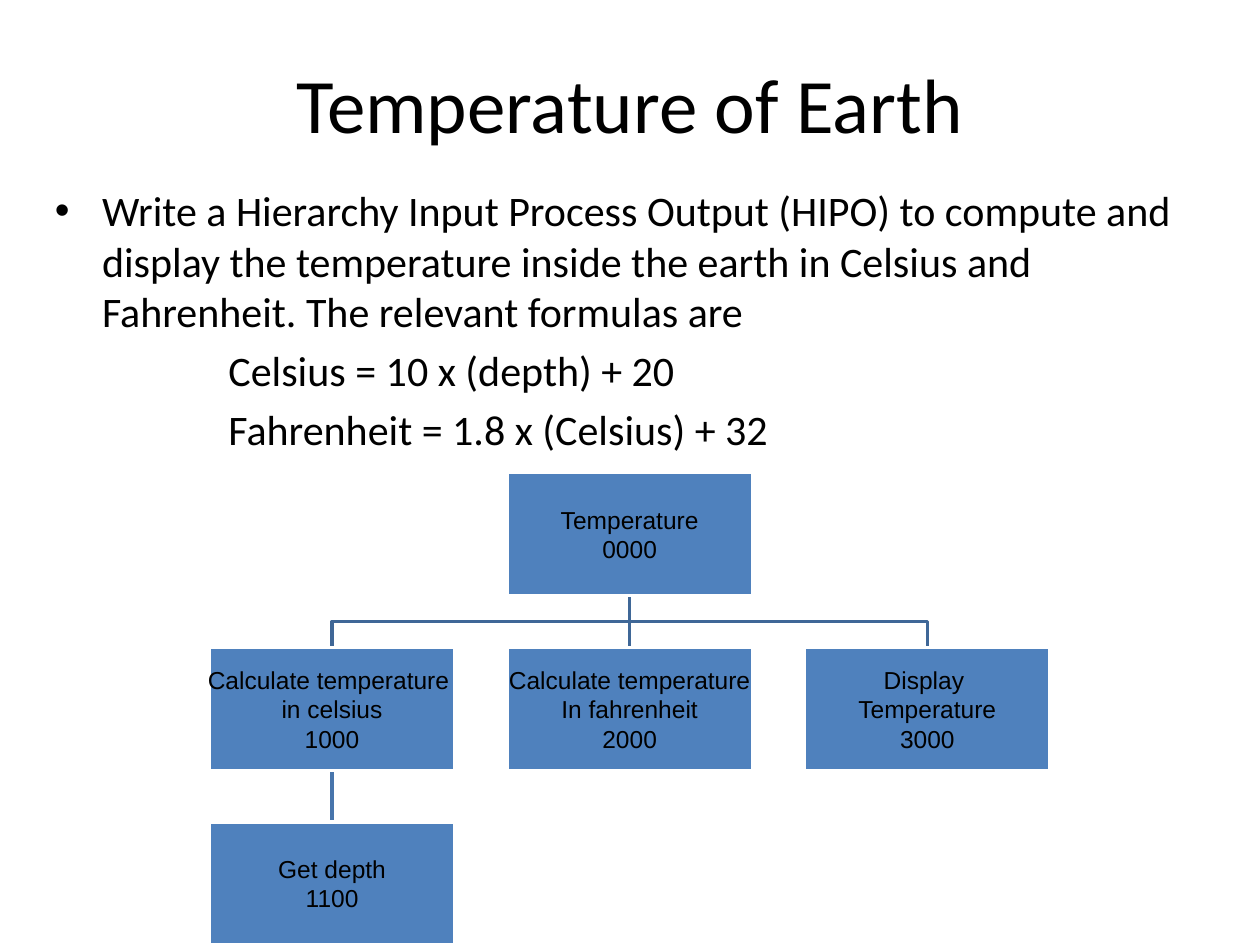
"""Build the Temperature of Earth slide with its HIPO chart."""
import dataclasses

import lxml.etree
import pptx
import pptx.dml.color
import pptx.enum.shapes
import pptx.enum.text
import pptx.oxml.ns
import pptx.util

Cm = pptx.util.Cm
Pt = pptx.util.Pt
RGBColor = pptx.dml.color.RGBColor
ALIGN = pptx.enum.text.PP_ALIGN
MIDDLE = pptx.enum.text.MSO_ANCHOR.MIDDLE
qn = pptx.oxml.ns.qn

BLACK = RGBColor(0x00, 0x00, 0x00)
WHITE = RGBColor(0xFF, 0xFF, 0xFF)
BLUE = RGBColor(0x4F, 0x81, 0xBD)
BRANCH = RGBColor(0x3F, 0x67, 0x97)
SUB_BRANCH = RGBColor(0x48, 0x75, 0xAC)

BOX_W, BOX_H = 4.95, 2.48
LEFT, TOP = 4.22, 9.53
COL_STEP, ROW_STEP = 6.0, 3.52


@dataclasses.dataclass(frozen=True)
class Module:
    lines: tuple[str, ...]
    col: int
    row: int

    @property
    def x(self) -> float:
        return LEFT + self.col * COL_STEP

    @property
    def y(self) -> float:
        return TOP + self.row * ROW_STEP

    @property
    def center(self) -> float:
        return self.x + BOX_W / 2


@dataclasses.dataclass(frozen=True)
class Link:
    parent: Module
    child: Module
    color: RGBColor


MAIN = Module(("Temperature", "0000"), 1, 0)
CELSIUS = Module(("Calculate temperature ", "in celsius", "1000"), 0, 1)
FAHRENHEIT = Module(("Calculate temperature", "In fahrenheit", "2000"), 1, 1)
DISPLAY = Module(("Display ", "Temperature", "3000"), 2, 1)
DEPTH = Module(("Get depth", "1100"), 0, 2)
MODULES = (MAIN, CELSIUS, DEPTH, FAHRENHEIT, DISPLAY)
LINKS = (
    Link(MAIN, DISPLAY, BRANCH),
    Link(MAIN, FAHRENHEIT, BRANCH),
    Link(CELSIUS, DEPTH, SUB_BRANCH),
    Link(MAIN, CELSIUS, BRANCH),
)


def write(tf, lines, *, size, font="Calibri", color=BLACK, align=None, anchor=None):
    if anchor is not None:
        tf.vertical_anchor = anchor
    for i, line in enumerate(lines):
        p = tf.paragraphs[0] if i == 0 else tf.add_paragraph()
        p.alignment = align
        r = p.add_run()
        r.text = line
        r.font.size = Pt(size)
        r.font.name = font
        r.font.color.rgb = color


def place(sp, x: float, y: float, w: float, h: float) -> None:
    sp.left, sp.top, sp.width, sp.height = Cm(x), Cm(y), Cm(w), Cm(h)


def indent_formula(p, margin: float) -> None:
    pPr = p._p.get_or_add_pPr()
    pPr.set("marL", str(Cm(margin)))
    pPr.set("indent", "0")
    lxml.etree.SubElement(pPr, qn("a:buNone"))


def draw_link(s, link: Link) -> None:
    x1, x2 = Cm(link.parent.center), Cm(link.child.center)
    y1, y2 = Cm(link.parent.y + BOX_H), Cm(link.child.y)
    if x1 == x2:
        straight = pptx.enum.shapes.MSO_CONNECTOR.STRAIGHT
        sp = s.shapes.add_connector(straight, x1, y1, x2, y2)
        lxml.etree.SubElement(sp._element.spPr, qn("a:effectLst"))
    else:
        mid = (y1 + y2) // 2
        fb = s.shapes.build_freeform(x1, y1)
        fb.add_line_segments([(x1, mid), (x2, mid), (x2, y2)], close=False)
        sp = fb.convert_to_shape()
        sp.fill.background()
        sp.shadow.inherit = False
    sp.line.color.rgb = link.color
    sp.line.width = Pt(2)


def draw_module(s, module: Module) -> None:
    sp = s.shapes.add_shape(
        pptx.enum.shapes.MSO_SHAPE.RECTANGLE,
        Cm(module.x), Cm(module.y), Cm(BOX_W), Cm(BOX_H),
    )
    sp.shadow.inherit = False
    sp.fill.solid()
    sp.fill.fore_color.rgb = BLUE
    sp.line.color.rgb = WHITE
    sp.line.width = Pt(2)
    tf = sp.text_frame
    tf.word_wrap = False
    tf.margin_left = tf.margin_right = tf.margin_top = tf.margin_bottom = Cm(0.02)
    write(tf, module.lines, size=14, font="Arial", align=ALIGN.CENTER, anchor=MIDDLE)


def main() -> None:
    prs = pptx.Presentation()
    prs.slide_width, prs.slide_height = Cm(25.4), Cm(19.05)
    s = prs.slides.add_slide(prs.slide_layouts[1])

    title, body = s.placeholders
    place(title, 1.27, 0.76, 22.86, 2.62)
    write(title.text_frame, ["Temperature of Earth"], size=44,
          align=ALIGN.CENTER, anchor=MIDDLE)

    place(body, 0.85, 3.6, 23.75, 5.29)
    write(body.text_frame, [
        "Write a Hierarchy Input Process Output (HIPO) to compute and display "
        "the temperature inside the earth in Celsius and Fahrenheit. "
        "The relevant formulas are",
        "Celsius = 10 x (depth) + 20",
        "Fahrenheit = 1.8 x (Celsius) + 32",
    ], size=24)
    for p in body.text_frame.paragraphs[1:]:
        indent_formula(p, 3.5)

    for link in LINKS:
        draw_link(s, link)
    for module in MODULES:
        draw_module(s, module)
    prs.save("out.pptx")


if __name__ == "__main__":
    main()
